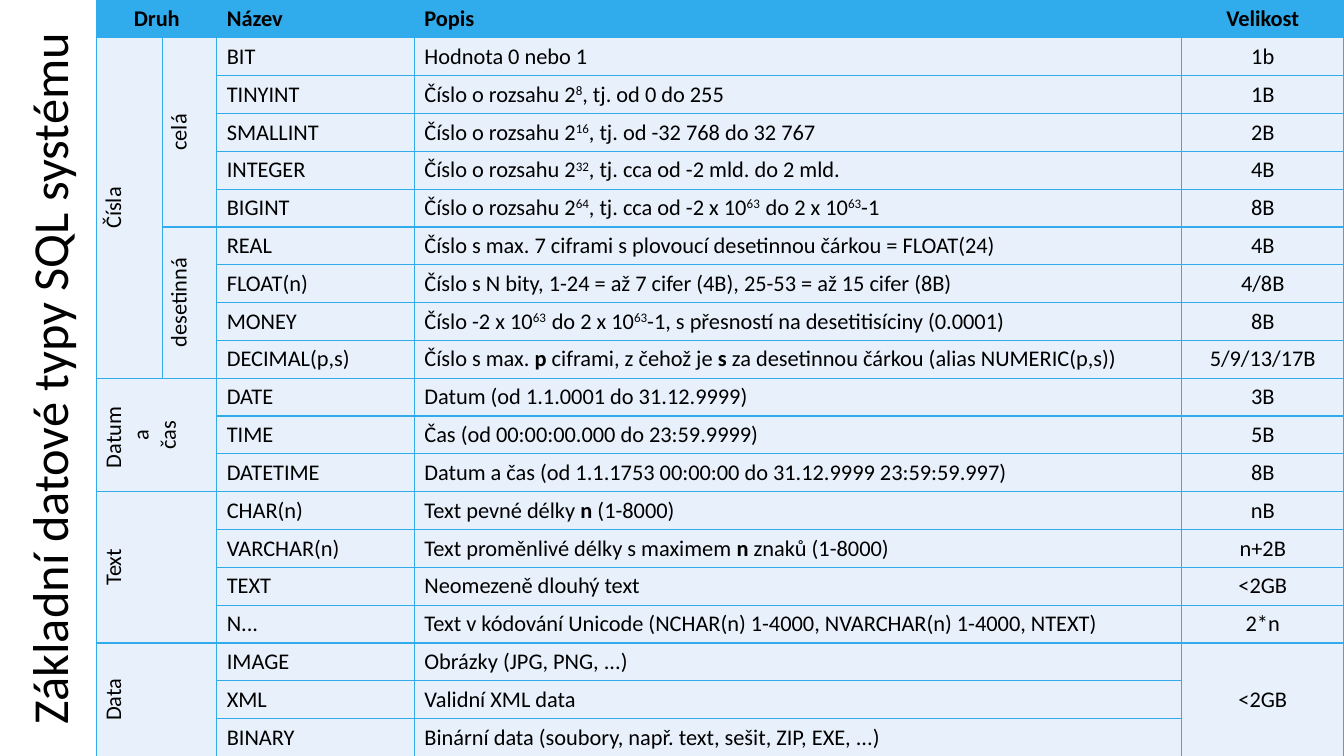
from typing import NamedTuple

from lxml import etree
from pptx import Presentation
from pptx.dml.color import RGBColor
from pptx.enum.text import MSO_ANCHOR, PP_ALIGN
from pptx.oxml.ns import qn
from pptx.util import Inches, Pt

MIDDLE = MSO_ANCHOR.MIDDLE
LEFT, CENTER = PP_ALIGN.LEFT, PP_ALIGN.CENTER
TITLE_ONLY = 5
FONT = "Calibri"
BLACK, BLUE, PALE = "000000", "30ACEC", "E8F1FB"
COLUMN_WIDTHS = [0.65, 0.54, 1.96, 7.61, 1.61]
TABLE_HEIGHT = 7.51


class DataType(NamedTuple):
    name: str
    description: str  # ^ toggles superscript, ~ toggles bold
    size: str


class Group(NamedTuple):
    text: str
    row: int
    col: int
    rows: int
    cols: int
    vertical: bool = True


HEADER = DataType("Název", "Popis", "Velikost")
DATA_TYPES = [
    DataType("BIT", "Hodnota 0 nebo 1", "1b"),
    DataType("TINYINT", "Číslo o rozsahu 2^8^, tj. od 0 do 255", "1B"),
    DataType("SMALLINT", "Číslo o rozsahu 2^16^, tj. od -32 768 do 32 767", "2B"),
    DataType("INTEGER", "Číslo o rozsahu 2^32^, tj. cca od -2 mld. do 2 mld.", "4B"),
    DataType("BIGINT", "Číslo o rozsahu 2^64^, tj. cca od -2 x 10^63  ^do 2 x 10^63^-1", "8B"),
    DataType("REAL", "Číslo s max. 7 ciframi s plovoucí desetinnou čárkou = FLOAT(24)", "4B"),
    DataType("FLOAT(n)", "Číslo s N bity, 1-24 = až 7 cifer (4B), 25-53 = až 15 cifer (8B)", "4/8B"),
    DataType("MONEY", "Číslo -2 x 10^63  ^do 2 x 10^63^-1, s přesností na desetitisíciny (0.0001)", "8B"),
    DataType("DECIMAL(p,s)",
             "Číslo s max. ~p~ ciframi, z čehož je ~s~ za desetinnou čárkou (alias NUMERIC(p,s))",
             "5/9/13/17B"),
    DataType("DATE", "Datum (od 1.1.0001 do 31.12.9999)", "3B"),
    DataType("TIME", "Čas (od 00:00:00.000 do 23:59.9999)", "5B"),
    DataType("DATETIME", "Datum a čas (od 1.1.1753 00:00:00 do 31.12.9999 23:59:59.997)", "8B"),
    DataType("CHAR(n)", "Text pevné délky ~n~ (1-8000)", "nB"),
    DataType("VARCHAR(n)", "Text proměnlivé délky s maximem ~n~ znaků (1-8000)", "n+2B"),
    DataType("TEXT", "Neomezeně dlouhý text", "<2GB"),
    DataType("N...", "Text v kódování Unicode (NCHAR(n) 1-4000, NVARCHAR(n) 1-4000, NTEXT)", "2*n"),
    DataType("IMAGE", "Obrázky (JPG, PNG, ...)", ""),
    DataType("XML", "Validní XML data", ""),
    DataType("BINARY", "Binární data (soubory, např. text, sešit, ZIP, EXE, ...)", ""),
]
GROUPS = [
    Group("Druh", 0, 0, 1, 2, vertical=False),
    Group("Čísla", 1, 0, 9, 1),
    Group("celá", 1, 1, 5, 1),
    Group("desetinná", 6, 1, 4, 1),
    Group("Datum \na\nčas", 10, 0, 3, 2),
    Group("Text", 13, 0, 4, 2),
    Group("Data", 17, 0, 3, 2),
    Group("<2GB", 17, 4, 3, 1, vertical=False),
]


def rgb(color: str) -> RGBColor:
    return RGBColor.from_string(color)


def format_run(r, size: float, bold: bool = False) -> None:
    r.font.name = FONT
    r.font.size = Pt(size)
    r.font.bold = bold
    r.font.color.rgb = rgb(BLACK)


def write_cell(cell, text: str, align: PP_ALIGN, header: bool) -> None:
    """Write text, reading ^ as a superscript toggle and ~ as a bold toggle."""
    p = cell.text_frame.paragraphs[0]
    p.alignment = align
    if "\n" in text:
        p.text = text
        for r in p.runs:
            format_run(r, 16)
        return
    for i, part in enumerate(text.split("^")):
        for j, piece in enumerate(part.split("~")):
            if piece:
                r = p.add_run()
                r.text = piece
                format_run(r, 16, header or j % 2 == 1)
                if i % 2:
                    r.font._element.set("baseline", "30000")


def style_cell(cell, fill: str) -> None:
    cell.vertical_anchor = MIDDLE
    cell.margin_top = cell.margin_bottom = Inches(0.03)
    tc_pr = cell._tc.get_or_add_tcPr()
    for side in ("lnL", "lnR", "lnT", "lnB"):
        ln = etree.SubElement(tc_pr, qn(f"a:{side}"), w=str(Pt(1)))
        solid = etree.SubElement(ln, qn("a:solidFill"))
        etree.SubElement(solid, qn("a:srgbClr"), val=BLUE)
    cell.fill.solid()
    cell.fill.fore_color.rgb = rgb(fill)


def add_title(slide, text: str) -> None:
    title = slide.shapes.title
    title.left, title.top = Inches(-3.28), Inches(3.28)
    title.width, title.height = Inches(7.51), Inches(0.96)
    title.rotation = 270
    tf = title.text_frame
    tf.text = text
    tf.word_wrap = True
    tf.vertical_anchor = MIDDLE
    p = tf.paragraphs[0]
    p.alignment = CENTER
    format_run(p.runs[0], 36)


def add_type_table(slide) -> None:
    rows = [HEADER] + DATA_TYPES
    frame = slide.shapes.add_table(len(rows), len(COLUMN_WIDTHS), Inches(0.96), 0,
                                   Inches(sum(COLUMN_WIDTHS)), Inches(TABLE_HEIGHT))
    table = frame.table
    table.first_row = table.horz_banding = False
    for column, width in zip(table.columns, COLUMN_WIDTHS):
        column.width = Inches(width)
    for i, data_type in enumerate(rows):
        table.rows[i].height = Inches(TABLE_HEIGHT / len(rows))
        for j in range(len(COLUMN_WIDTHS)):
            style_cell(table.cell(i, j), PALE if i else BLUE)
        for j, text in enumerate(data_type, start=2):
            write_cell(table.cell(i, j), text, CENTER if j == 4 else LEFT, i == 0)
    for group in GROUPS:
        cell = table.cell(group.row, group.col)
        cell.merge(table.cell(group.row + group.rows - 1, group.col + group.cols - 1))
        write_cell(cell, group.text, CENTER, group.row == 0)
        if group.vertical:
            cell._tc.get_or_add_tcPr().set("vert", "vert270")


def main() -> None:
    prs = Presentation()
    prs.slide_width, prs.slide_height = Inches(13.33), Inches(7.5)
    slide = prs.slides.add_slide(prs.slide_layouts[TITLE_ONLY])
    add_title(slide, "Základní datové typy SQL systému")
    add_type_table(slide)
    prs.save("out.pptx")


if __name__ == "__main__":
    main()
